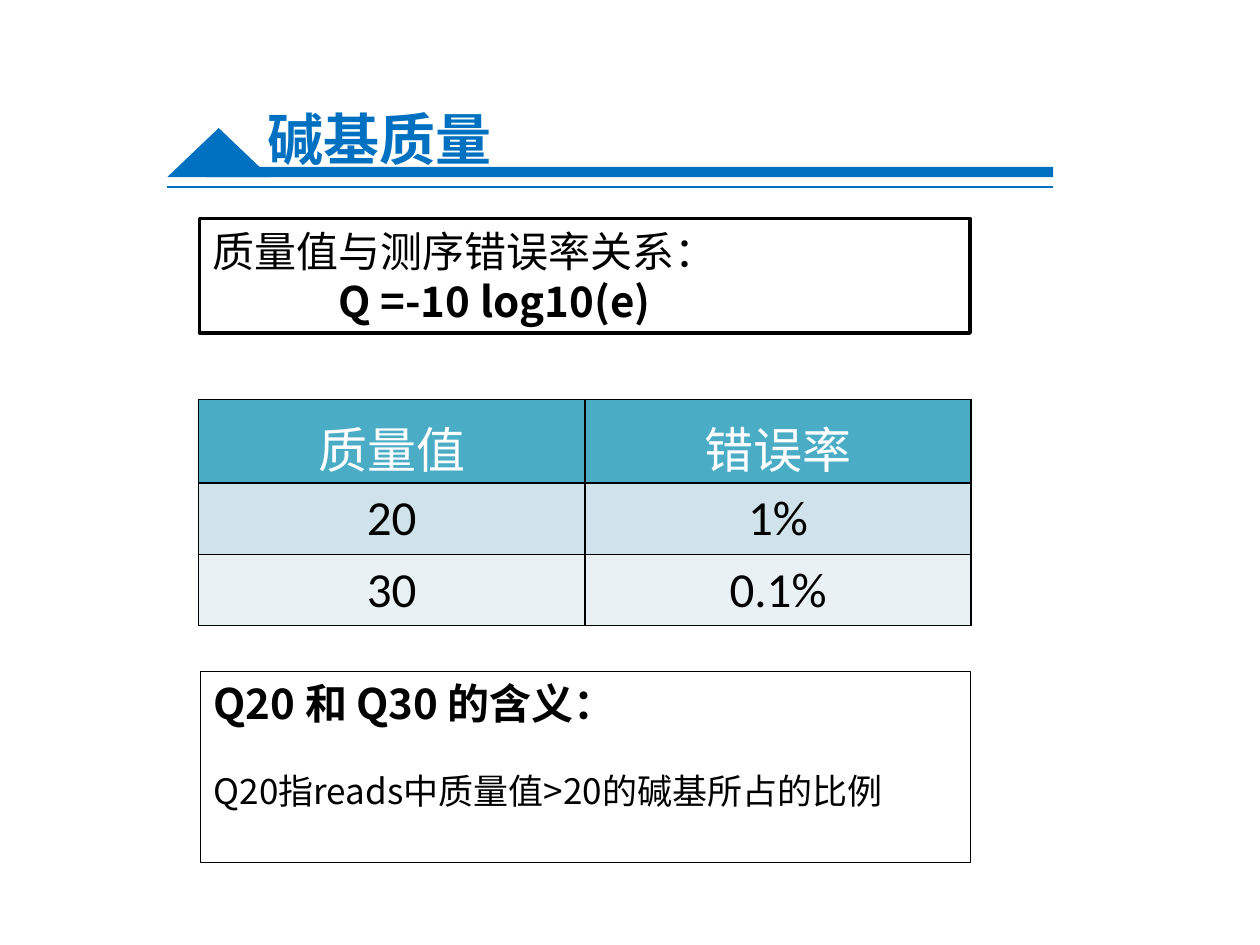
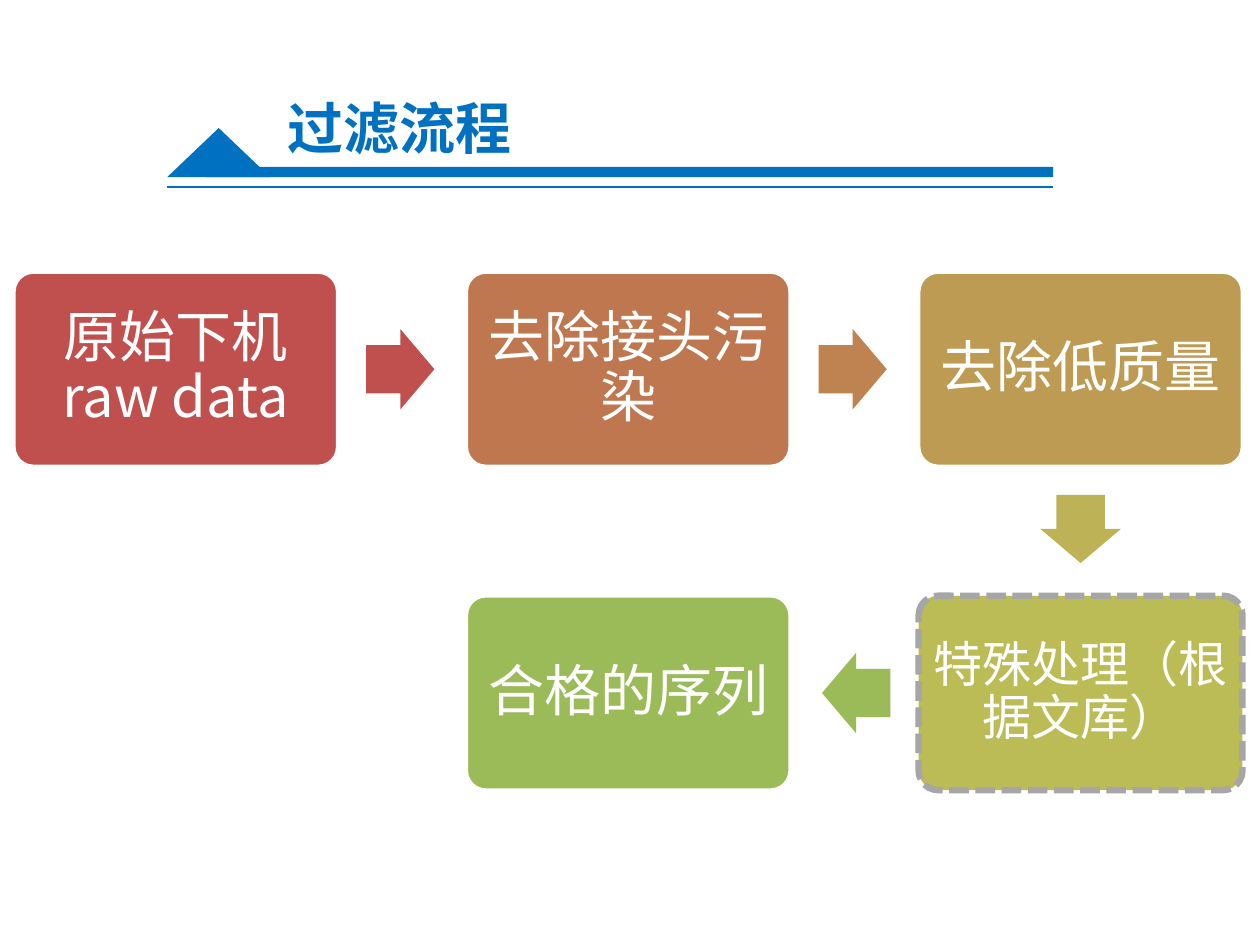
from lxml import etree
from pptx import Presentation
from pptx.dml.color import RGBColor
from pptx.enum import dml, shapes, text
from pptx.oxml import ns
from pptx.util import Pt

CJK_FONT = "Noto Sans CJK SC"
TABLE_FONT = "Calibri"
BLUE, BLACK, WHITE, GREY = "0070C0", "000000", "FFFFFF", "A6A6A6"
KIND = shapes.MSO_SHAPE


def colour(hex_string):
    return RGBColor.from_string(hex_string)


def style_para(para, size, shade, bold=False, name=CJK_FONT):
    font = para.font
    font.size, font.bold, font.name = Pt(size), bold, name
    font.color.rgb = colour(shade)
    etree.SubElement(font._rPr, ns.qn("a:ea"), typeface=CJK_FONT)


def add_block(page, kind, box, fill=None, line=None, width=1):
    """Add a preset shape; without a fill or line colour that part is empty."""
    block = page.shapes.add_shape(kind, *map(Pt, box))
    block.shadow.inherit = False
    if fill:
        block.fill.solid()
        block.fill.fore_color.rgb = colour(fill)
    else:
        block.fill.background()
    if line:
        block.line.color.rgb = colour(line)
        block.line.width = Pt(width)
    else:
        block.line.fill.background()
    return block


def add_heading_band(page, box):
    """Triangle on the left, thick bar beside it and a thin rule below."""
    left, top, width, height = box
    rule = page.shapes.add_connector(
        shapes.MSO_CONNECTOR.STRAIGHT,
        Pt(left), Pt(top + height), Pt(left + width), Pt(top + height))
    rule.line.color.rgb = colour(BLUE)
    rule.line.width = Pt(0.75)
    etree.SubElement(rule._element.spPr, ns.qn("a:effectLst"))
    add_block(page, KIND.RECTANGLE, (left + 22, top + 22.2, width - 22, 5.8), BLUE)
    add_block(page, KIND.ISOSCELES_TRIANGLE, (left, top, 58.8, 28), BLUE)


def add_page(deck, heading, box, line_spacing):
    page = deck.slides.add_slide(deck.slide_layouts[5])
    add_heading_band(page, (95.6, 73.2, 506.2, 33.6))
    title = page.shapes.title
    title.left, title.top, title.width, title.height = map(Pt, box)
    frame = title.text_frame
    frame.text = heading
    frame.auto_size = text.MSO_AUTO_SIZE.NONE
    frame.vertical_anchor = text.MSO_ANCHOR.TOP
    para = frame.paragraphs[0]
    para.alignment = text.PP_ALIGN.LEFT
    para.line_spacing = line_spacing
    style_para(para, 32, BLUE, bold=True)
    return page


def add_note(page, box, lines, anchor, width):
    """Outlined box; each line is (words, size, bold, indent, space before)."""
    note = add_block(page, KIND.RECTANGLE, box, WHITE, BLACK, width)
    frame = note.text_frame
    frame.word_wrap = True
    frame.vertical_anchor = anchor
    frame.margin_left = Pt(7.6)
    for index, (words, size, bold, indent, before) in enumerate(lines):
        para = frame.add_paragraph() if index else frame.paragraphs[0]
        para.text = words
        para.alignment = text.PP_ALIGN.LEFT
        para.space_before = Pt(before)
        para._p.get_or_add_pPr().set("marL", str(Pt(indent)))
        style_para(para, size, BLACK, bold)


def add_cell_borders(cell):
    properties = cell._tc.get_or_add_tcPr()
    for index, side in enumerate(("lnL", "lnR", "lnT", "lnB")):
        border = etree.Element(ns.qn(f"a:{side}"), w=str(Pt(1)))
        fill = etree.SubElement(border, ns.qn("a:solidFill"))
        etree.SubElement(fill, ns.qn("a:srgbClr"), val=BLACK)
        properties.insert(index, border)


def add_quality_table(page, box):
    rows = [("质量值", "错误率"), ("20", "1%"), ("30", "0.1%")]
    fills = ["4BACC6", "D0E3EA", "E9F1F5"]
    top_margins = [7.2, 3.6, 3.6]
    table = page.shapes.add_table(len(rows), 2, *map(Pt, box)).table
    for row_index, (row, fill, margin) in enumerate(zip(rows, fills, top_margins)):
        for column_index, words in enumerate(row):
            cell = table.cell(row_index, column_index)
            cell.text = words
            cell.margin_top, cell.margin_bottom = Pt(margin), Pt(0)
            cell.fill.solid()
            cell.fill.fore_color.rgb = colour(fill)
            add_cell_borders(cell)
            para = cell.text_frame.paragraphs[0]
            para.alignment = text.PP_ALIGN.CENTER
            style_para(para, 28, BLACK if row_index else WHITE, name=TABLE_FONT)


def add_step(page, box, words, fill, size=32, dashed=False):
    step = add_block(page, KIND.ROUNDED_RECTANGLE, box, fill,
                     GREY if dashed else WHITE, 3.75 if dashed else 2)
    step.adjustments[0] = 0.1
    if dashed:
        step.line.dash_style = dml.MSO_LINE.SQUARE_DOT
    frame = step.text_frame
    frame.word_wrap = True
    frame.vertical_anchor = text.MSO_ANCHOR.MIDDLE
    corner_inset = 3.4
    margin = Pt(size * 0.3 - corner_inset)
    frame.margin_left = frame.margin_right = margin
    frame.margin_top = frame.margin_bottom = margin
    frame.text = words
    para = frame.paragraphs[0]
    para.alignment = text.PP_ALIGN.CENTER
    para.line_spacing = 0.9
    style_para(para, size, WHITE)


def add_step_arrow(page, box, direction, fill):
    """Arrow that leaves the step in box towards (columns, rows)."""
    left, top, width, height = box
    across, down = direction
    kind = {(1, 0): KIND.RIGHT_ARROW, (0, 1): KIND.DOWN_ARROW,
            (-1, 0): KIND.LEFT_ARROW}[direction]
    gap, length, breadth = 16.25, 39, 46
    arrow_width, arrow_height = (length, breadth) if across else (breadth, length)
    centre_x = left + width / 2 + across * (width / 2 + gap + length / 2)
    centre_y = top + height / 2 + down * (height / 2 + gap + length / 2)
    arrow = add_block(page, kind, (centre_x - arrow_width / 2, centre_y - arrow_height / 2,
                                   arrow_width, arrow_height), fill)
    arrow.adjustments[0], arrow.adjustments[1] = 0.6, 0.5


def add_filter_flow(page, box):
    """Five steps that run right along the first row and back along the second."""
    left, top, width, height = box
    step_width, step_height = 185, 111
    pitch_x, pitch_y = (width - step_width) / 2, height - step_height
    steps = [
        ((0, 0), "原始下机raw data", "C0504D", {}),
        ((1, 0), "去除接头污染", "BF7750", {}),
        ((2, 0), "去除低质量", "BD9B53", {}),
        ((2, 1), "特殊处理（根据文库）", "BCBC56", {"size": 28, "dashed": True}),
        ((1, 1), "合格的序列", "9BBB59", {}),
    ]
    arrow_fills = ["C0504D", "BE8351", "BDB255", "9BBB59"]
    places = [(left + column * pitch_x, top + row * pitch_y, step_width, step_height)
              for (column, row), *_ in steps]
    for place, (_, words, fill, options) in zip(places, steps):
        add_step(page, place, words, fill, **options)
    for index, fill in enumerate(arrow_fills):
        (column, row), (next_column, next_row) = steps[index][0], steps[index + 1][0]
        add_step_arrow(page, places[index], (next_column - column, next_row - row), fill)


def build_quality_page(deck):
    page = add_page(deck, "碱基质量", (145.8, 56, 477, 46), 1.0)
    add_note(page, (114, 124.8, 440.3, 65.5),
             [("质量值与测序错误率关系：", 24, False, 0, 0),
              ("Q =-10 log10(e)", 24, True, 72, 0)],
             text.MSO_ANCHOR.MIDDLE, 2)
    add_quality_table(page, (113.5, 228.3, 441.5, 122.4))
    add_note(page, (114.5, 383.8, 440, 109),
             [("Q20 和 Q30 的含义：", 24, True, 0, 0),
              ("Q20指reads中质量值>20的碱基所占的比例", 20, False, 0, 23.5)],
             text.MSO_ANCHOR.TOP, 0.75)


def build_filter_page(deck):
    page = add_page(deck, "过滤流程", (157, 54, 241, 40), 0.9)
    add_filter_flow(page, (8, 155.5, 702, 296))


def main():
    deck = Presentation()
    deck.slide_width, deck.slide_height = Pt(720), Pt(540)
    build_quality_page(deck)
    build_filter_page(deck)
    deck.save("out.pptx")


if __name__ == "__main__":
    main()
